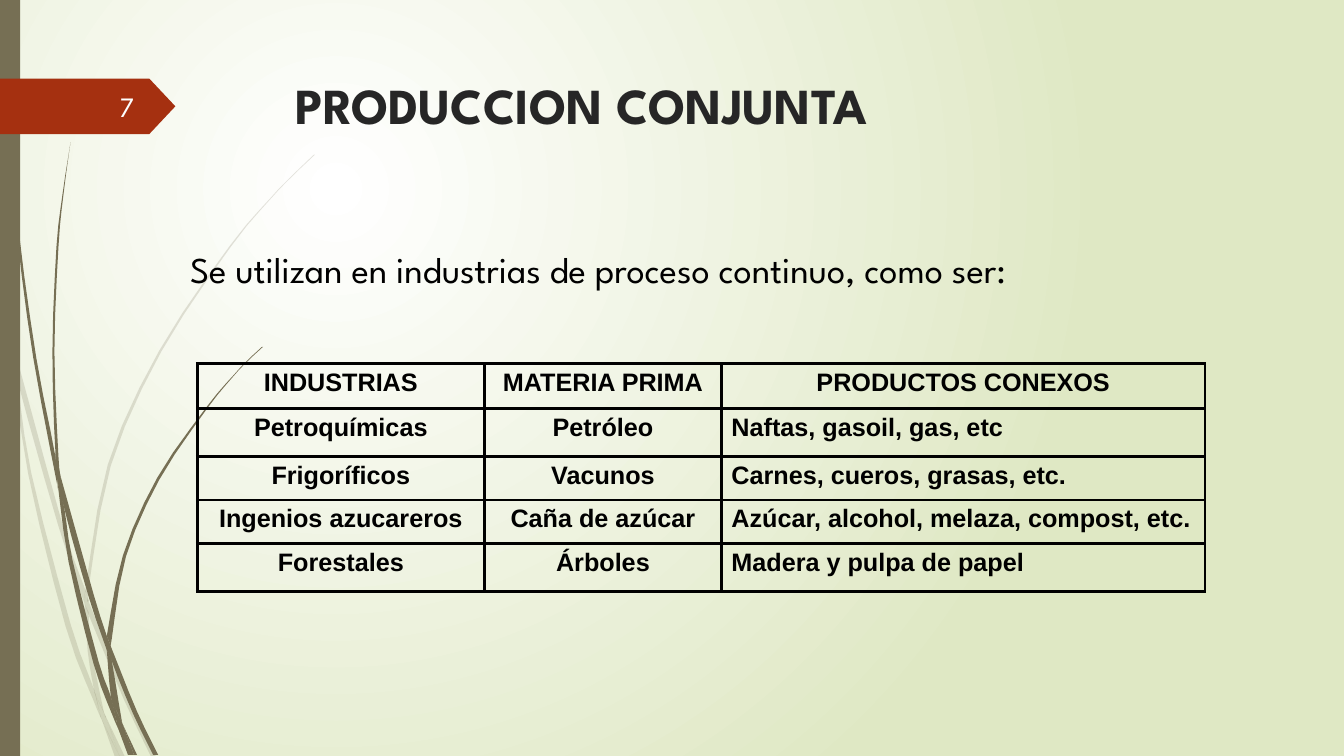
from dataclasses import dataclass

import pptx
import pptx.dml.color
import pptx.enum.shapes
import pptx.enum.text
import pptx.oxml
import pptx.oxml.ns
import pptx.util
from pptx.util import Cm

Align = pptx.enum.text.PP_ALIGN
Anchor = pptx.enum.text.MSO_ANCHOR
Preset = pptx.enum.shapes.MSO_SHAPE
NS = pptx.oxml.ns.nsdecls("a")


@dataclass(frozen=True)
class Theme:
    display: str = "League Spartan"
    table: str = "Arial"
    title_size: int = 36
    sentence_size: int = 26
    number_size: int = 20
    table_size: int = 18
    ink: str = "000000"
    title_ink: str = "262626"
    number_ink: str = "FEFFFF"
    olive: str = "766F54"
    flag: str = "A53010"
    glow: str = "FFFFFF"
    edge: str = "DFE8C4"


# Pieces of grass: left and right edges, downwards, in hundredths of an inch.
PALE_GRASS = [
    ([(0, 299), (10, 344), (11, 350)], [(0, 282), (9, 322), (11, 350)]),
    ([(14, 345), (17, 376), (58, 522), (84, 599)], [(14, 345), (62, 520), (85, 586)]),
    ([(88, 610), (123, 694), (150, 751)], [(88, 596), (92, 607), (127, 692), (155, 751)]),
    ([(105, 711), (119, 751)], [(105, 711), (124, 751)]),
    ([(11, 350), (28, 470), (65, 621), (92, 693), (101, 714)],
     [(11, 350), (17, 376), (31, 469), (70, 619), (93, 683), (99, 707), (101, 714)]),
    ([(84, 599), (87, 646), (93, 683), (96, 692), (105, 711)],
     [(88, 608), (88, 610), (91, 646), (103, 706), (105, 711)]),
    ([(312, 153), (289, 175), (268, 197), (228, 244), (158, 348), (107, 461),
      (85, 584), (85, 586)],
     [(312, 154), (290, 175), (268, 198), (229, 245), (160, 349), (110, 462),
      (88, 584), (88, 596)]),
    ([(101, 714), (114, 751)], [(101, 714), (119, 751)]),
    ([(85, 586), (84, 599)], [(88, 596), (88, 610)]),
    ([(93, 683), (99, 707), (101, 714), (119, 751)],
     [(93, 683), (96, 692), (105, 711), (119, 751)]),
]
DARK_GRASS = [
    ([(3, 0), (4, 48), (7, 110), (17, 233), (33, 355), (56, 477), (57, 481)],
     [(4, 0), (5, 48), (8, 109), (19, 232), (36, 355), (55, 453), (57, 481)]),
    ([(60, 472), (64, 505), (88, 592), (106, 645)],
     [(60, 472), (93, 590), (106, 631), (106, 633)]),
    ([(110, 641), (111, 656), (132, 708), (152, 749)],
     [(110, 641), (113, 649), (136, 706), (157, 749)]),
    ([(57, 477), (68, 557), (93, 659), (111, 708), (117, 722)],
     [(57, 477), (64, 505), (72, 556), (98, 657), (110, 691), (116, 717), (117, 722)]),
    ([(70, 141), (62, 193), (56, 245), (52, 349), (55, 449), (60, 472)],
     [(70, 141), (63, 193), (58, 245), (54, 349), (58, 453), (60, 472)]),
    ([(122, 719), (133, 749)], [(122, 719), (136, 749)]),
    ([(55, 449), (55, 453), (57, 477), (64, 505)], [(55, 449), (60, 472), (64, 505)]),
    ([(260, 344), (245, 358), (231, 373), (204, 405), (156, 474), (122, 551), (106, 631)],
     [(261, 344), (245, 359), (231, 374), (205, 406), (158, 476), (125, 552),
      (111, 633), (110, 641)]),
    ([(117, 722), (127, 749)], [(117, 722), (131, 749)]),
    ([(106, 645), (110, 691), (116, 706), (122, 719)],
     [(106, 645), (109, 651), (111, 656), (121, 716), (122, 719)]),
    ([(106, 631), (106, 645)], [(110, 641), (111, 656)]),
    ([(110, 691), (116, 717), (117, 722), (130, 749)],
     [(110, 691), (116, 706), (122, 719), (133, 749)]),
]

COLUMN_WIDTHS = [7.24, 5.97, 12.19]
ROW_HEIGHTS = [1.14, 1.2, 1.1, 1.1, 1.2]
INDUSTRIES = [
    ("INDUSTRIAS", "MATERIA PRIMA", "PRODUCTOS CONEXOS"),
    ("Petroquímicas", "Petróleo", "Naftas, gasoil, gas, etc"),
    ("Frigoríficos", "Vacunos", "Carnes, cueros, grasas, etc."),
    ("Ingenios azucareros", "Caña de azúcar", "Azúcar, alcohol, melaza, compost, etc."),
    ("Forestales", "Árboles", "Madera y pulpa de papel"),
]


def smooth(points, steps=3):
    """Sample a Catmull-Rom curve through the points; two points stay straight."""
    if len(points) == 2:
        return points
    padded = [points[0], *points, points[-1]]
    curve = []
    for a, b, c, d in zip(padded, padded[1:], padded[2:], padded[3:]):
        for step in range(steps):
            t = step / steps
            curve.append(tuple(
                (2 * q + (r - p) * t + (2 * p - 5 * q + 4 * r - s) * t ** 2
                 + (3 * q - p - 3 * r + s) * t ** 3) / 2
                for p, q, r, s in zip(a, b, c, d)))
    return curve + [points[-1]]


class SlideBuilder:
    def __init__(self, slide, theme):
        self.slide = slide
        self.theme = theme

    def rgb(self, color):
        return pptx.dml.color.RGBColor.from_string(color)

    def background(self):
        fill = self.slide.background.fill
        fill.gradient()
        for stop, color in zip(fill.gradient_stops, (self.theme.glow, self.theme.edge)):
            stop.color.rgb = self.rgb(color)
        gradient = self.slide.element.find(".//" + pptx.oxml.ns.qn("a:gradFill"))
        gradient.remove(gradient.find(pptx.oxml.ns.qn("a:lin")))
        gradient.append(pptx.oxml.parse_xml(
            f'<a:path {NS} path="circle"><a:fillToRect l="50000" t="50000" '
            'r="100000" b="100000"/></a:path>'))

    def paint(self, shape, color, opacity=100):
        shape.shadow.inherit = False
        shape.line.fill.background()
        shape.fill.solid()
        shape.fill.fore_color.rgb = self.rgb(color)
        if opacity < 100:
            swatch = shape.element.spPr.find(".//" + pptx.oxml.ns.qn("a:srgbClr"))
            swatch.append(pptx.oxml.parse_xml(f'<a:alpha {NS} val="{opacity * 1000}"/>'))

    def grass(self, left_edge, right_edge, opacity=100):
        outline = [(x * 10, y * 10)
                   for x, y in smooth(left_edge) + smooth(right_edge)[::-1]]
        pen = self.slide.shapes.build_freeform(*outline[0], scale=Cm(0.0254) / 10)
        pen.add_line_segments(outline[1:], close=True)
        self.paint(pen.convert_to_shape(), self.theme.olive, opacity)

    def block(self, preset, box, color):
        shape = self.slide.shapes.add_shape(preset, *map(Cm, box))
        self.paint(shape, color)
        return shape

    def style(self, paragraph, size, color, font, bold=False, align=Align.LEFT):
        paragraph.alignment = align
        paragraph.font.size = pptx.util.Pt(size)
        paragraph.font.color.rgb = self.rgb(color)
        paragraph.font.name = font
        paragraph.font.bold = bold

    def indent(self, paragraph, margin, first_line):
        properties = paragraph._p.get_or_add_pPr()
        properties.set("marL", str(Cm(margin)))
        properties.set("indent", str(Cm(first_line)))

    def title(self, text, box):
        heading = self.slide.shapes.title
        heading.left, heading.top, heading.width, heading.height = map(Cm, box)
        frame = heading.text_frame
        frame.text = text
        frame.word_wrap = True
        frame.auto_size = pptx.enum.text.MSO_AUTO_SIZE.NONE
        frame.vertical_anchor = Anchor.TOP
        self.style(frame.paragraphs[0], self.theme.title_size, self.theme.title_ink,
                   self.theme.display, bold=True)

    def text(self, text, box, size, color, anchor=Anchor.TOP, align=Align.LEFT, margin=0):
        frame = self.slide.shapes.add_textbox(*map(Cm, box)).text_frame
        frame.word_wrap = True
        frame.vertical_anchor = anchor
        frame.text = text
        self.indent(frame.paragraphs[0], margin, 0)
        self.style(frame.paragraphs[0], size, color, self.theme.display, align=align)

    def border(self, cell):
        properties = cell._tc.get_or_add_tcPr()
        for side in "LRTB":
            properties.append(pptx.oxml.parse_xml(
                f'<a:ln{side} {NS} w="{pptx.util.Pt(2.25)}"><a:solidFill>'
                f'<a:srgbClr val="{self.theme.ink}"/></a:solidFill></a:ln{side}>'))

    def table(self, rows, left, top, widths, heights):
        grid = self.slide.shapes.add_table(
            len(rows), len(widths), Cm(left), Cm(top),
            Cm(sum(widths)), Cm(sum(heights))).table
        grid.first_row = grid.horz_banding = False
        for column, width in zip(grid.columns, widths):
            column.width = Cm(width)
        for r, (row, height) in enumerate(zip(rows, heights)):
            grid.rows[r].height = Cm(height)
            for c, text in enumerate(row):
                cell = grid.cell(r, c)
                cell.text = text
                self.border(cell)
                cell.fill.background()
                paragraph = cell.text_frame.paragraphs[0]
                self.indent(paragraph, 0.97, -0.97)
                is_product = r > 0 and c == len(widths) - 1
                self.style(paragraph, self.theme.table_size, self.theme.ink,
                           self.theme.table, bold=True,
                           align=Align.LEFT if is_product else Align.CENTER)


def main():
    deck = pptx.Presentation()
    deck.slide_width, deck.slide_height = Cm(33.87), Cm(19.05)
    theme = Theme()
    page = SlideBuilder(deck.slides.add_slide(deck.slide_layouts[5]), theme)
    page.background()
    for edges in PALE_GRASS:
        page.grass(*edges, opacity=20)
    for edges in DARK_GRASS:
        page.grass(*edges)
    page.block(Preset.RECTANGLE, (0, 0, 0.51, 19.05), theme.olive)
    flag = page.block(Preset.PENTAGON, (0, 1.98, 4.42, 1.4), theme.flag)
    flag.adjustments[0] = 0.47
    page.title("PRODUCCION CONJUNTA", (7.19, 1.73, 24.77, 1.78))
    page.text("7", (1.47, 2.18, 2.16, 1.02), theme.number_size, theme.number_ink,
              anchor=Anchor.MIDDLE, align=Align.RIGHT)
    page.table(INDUSTRIES, 4.97, 9.16, COLUMN_WIDTHS, ROW_HEIGHTS)
    page.text("Se utilizan en industrias de proceso continuo, como ser:",
              (4.06, 6.1, 27.51, 1.4), theme.sentence_size, theme.ink, margin=0.48)
    deck.save("out.pptx")


if __name__ == "__main__":
    main()
